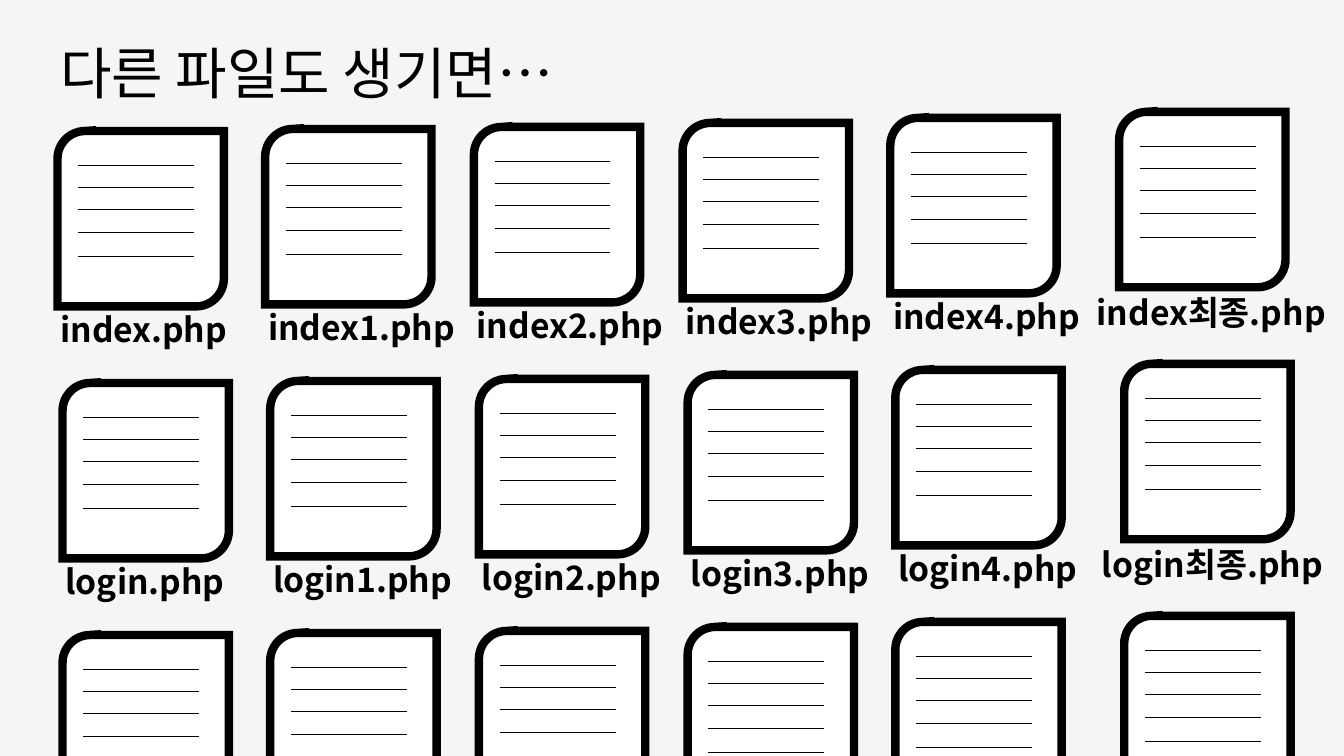
from dataclasses import dataclass

import lxml.etree
import pptx
import pptx.dml.color
import pptx.enum.shapes
import pptx.enum.text
import pptx.oxml.ns
import pptx.util

Inches = pptx.util.Inches
Pt = pptx.util.Pt
qualified = pptx.oxml.ns.qn


@dataclass(frozen=True)
class Theme:
    background: str = "F5F5F5"
    paper: str = "FFFFFF"
    ink: str = "000000"
    font: str = "Noto Sans CJK KR"
    title_size: int = 40
    label_size: int = 24
    border: float = 6
    rule: float = 0.5


THEME = Theme()
SLIDE_WIDTH, SLIDE_HEIGHT = 13.33, 7.5
FILE_LEFTS = (0.57, 2.63, 4.7, 6.77, 8.83, 11.1)
FILE_TOPS = (1.3, 1.28, 1.26, 1.22, 1.17, 1.11)
FILE_WIDTH, FILE_HEIGHT = 1.65, 1.74
ROW_STEP = 2.5
LOWER_ROW_SHIFT = 0.05
RULE_OFFSETS = (0.34, 0.56, 0.78, 1.01, 1.24)
RULE_INSET, RULE_LENGTH = 0.205, 1.15
VERSIONS = ("", "1", "2", "3", "4", "최종")
ROW_NAMES = ("index", "login", None)


def color(value):
    return pptx.dml.color.RGBColor.from_string(value)


def add_text(page, left, top, width, height, text, size, bold=False, wrap=True):
    box = page.shapes.add_textbox(Inches(left), Inches(top), Inches(width), Inches(height))
    frame = box.text_frame
    frame.word_wrap = wrap
    frame.auto_size = pptx.enum.text.MSO_AUTO_SIZE.SHAPE_TO_FIT_TEXT
    span = frame.paragraphs[0].add_run()
    span.text = text
    span.font.size = Pt(size)
    span.font.bold = bold
    span.font.name = THEME.font
    span.font.color.rgb = color(THEME.ink)
    properties = span.font._element
    east_asian = lxml.etree.SubElement(properties, qualified("a:ea"))
    east_asian.set("typeface", THEME.font)


def add_sheet(group, left, top):
    sheet = group.shapes.add_shape(
        pptx.enum.shapes.MSO_SHAPE.ROUND_2_DIAG_RECTANGLE,
        Inches(left), Inches(top), Inches(FILE_WIDTH), Inches(FILE_HEIGHT),
    )
    sheet.shadow.inherit = False
    sheet.fill.solid()
    sheet.fill.fore_color.rgb = color(THEME.paper)
    sheet.line.color.rgb = color(THEME.ink)
    sheet.line.width = Pt(THEME.border)
    outline = sheet._element.spPr.find(qualified("a:ln"))
    lxml.etree.SubElement(outline, qualified("a:miter")).set("lim", "800000")


def add_rule(group, left, top):
    rule = group.shapes.add_connector(
        pptx.enum.shapes.MSO_CONNECTOR.STRAIGHT,
        Inches(left), Inches(top), Inches(left + RULE_LENGTH), Inches(top),
    )
    rule.line.color.rgb = color(THEME.ink)
    rule.line.width = Pt(THEME.rule)
    lxml.etree.SubElement(rule._element.spPr, qualified("a:effectLst"))


def add_file_icon(page, left, top):
    group = page.shapes.add_group_shape()
    add_sheet(group, left, top)
    for offset in RULE_OFFSETS:
        if top + offset < SLIDE_HEIGHT - 0.01:
            add_rule(group, left + RULE_INSET, top + offset)


def add_file_label(page, left, top, name, version):
    final = version == VERSIONS[-1]
    indent, drop, width = (0.32, 1.74, 2.9) if final else (0.07, 1.72, 2.32)
    add_text(page, left - indent, top + drop, width, 0.5,
             f"{name}{version}.php", THEME.label_size, bold=True)


def add_file_row(page, row, name):
    shift = LOWER_ROW_SHIFT if row else 0
    for column_left, column_top, version in zip(FILE_LEFTS, FILE_TOPS, VERSIONS):
        left = column_left + shift
        top = column_top + row * ROW_STEP
        add_file_icon(page, left, top)
        if name:
            add_file_label(page, left, top, name, version)


def main():
    deck = pptx.Presentation()
    deck.slide_width = Inches(SLIDE_WIDTH)
    deck.slide_height = Inches(SLIDE_HEIGHT)
    page = deck.slides.add_slide(deck.slide_layouts[6])
    page.background.fill.solid()
    page.background.fill.fore_color.rgb = color(THEME.background)
    add_text(page, 0.5, 0.33, 5.63, 0.77, "다른 파일도 생기면…", THEME.title_size, wrap=False)
    for row, name in enumerate(ROW_NAMES):
        add_file_row(page, row, name)
    deck.save("out.pptx")


if __name__ == "__main__":
    main()
